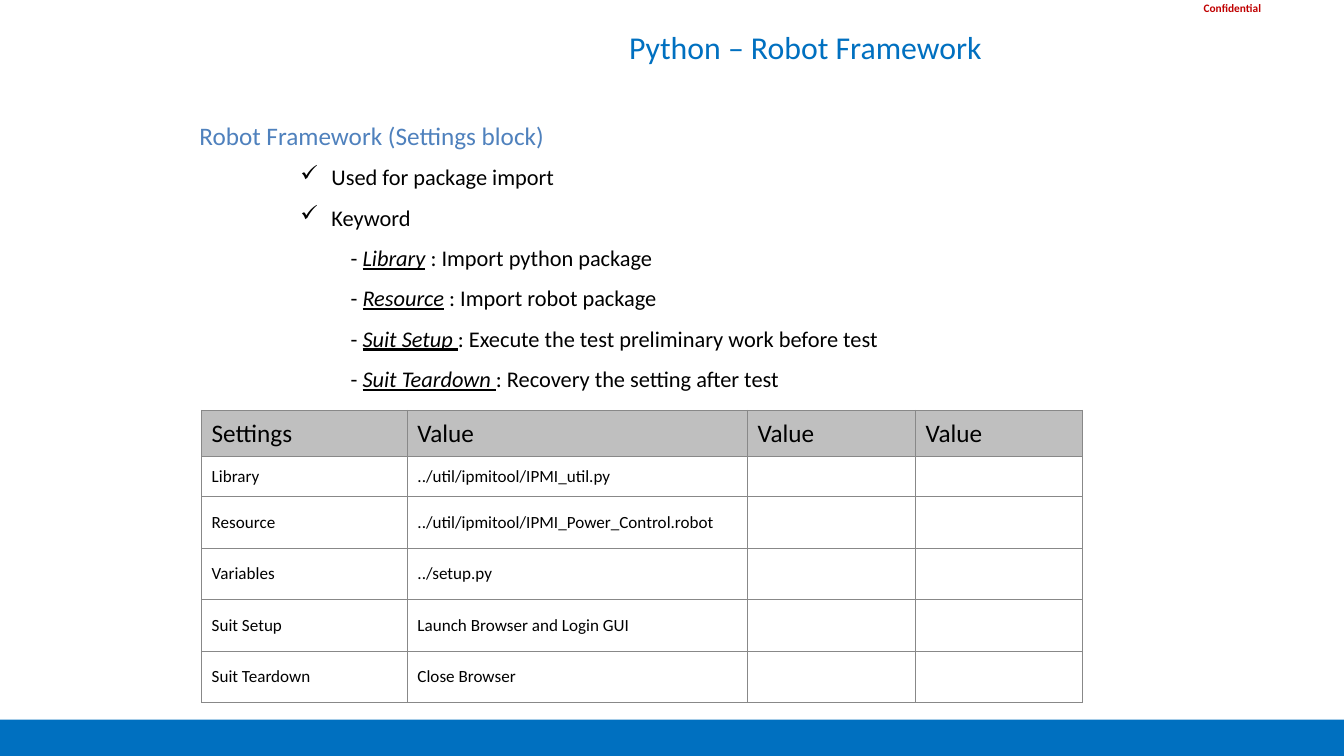
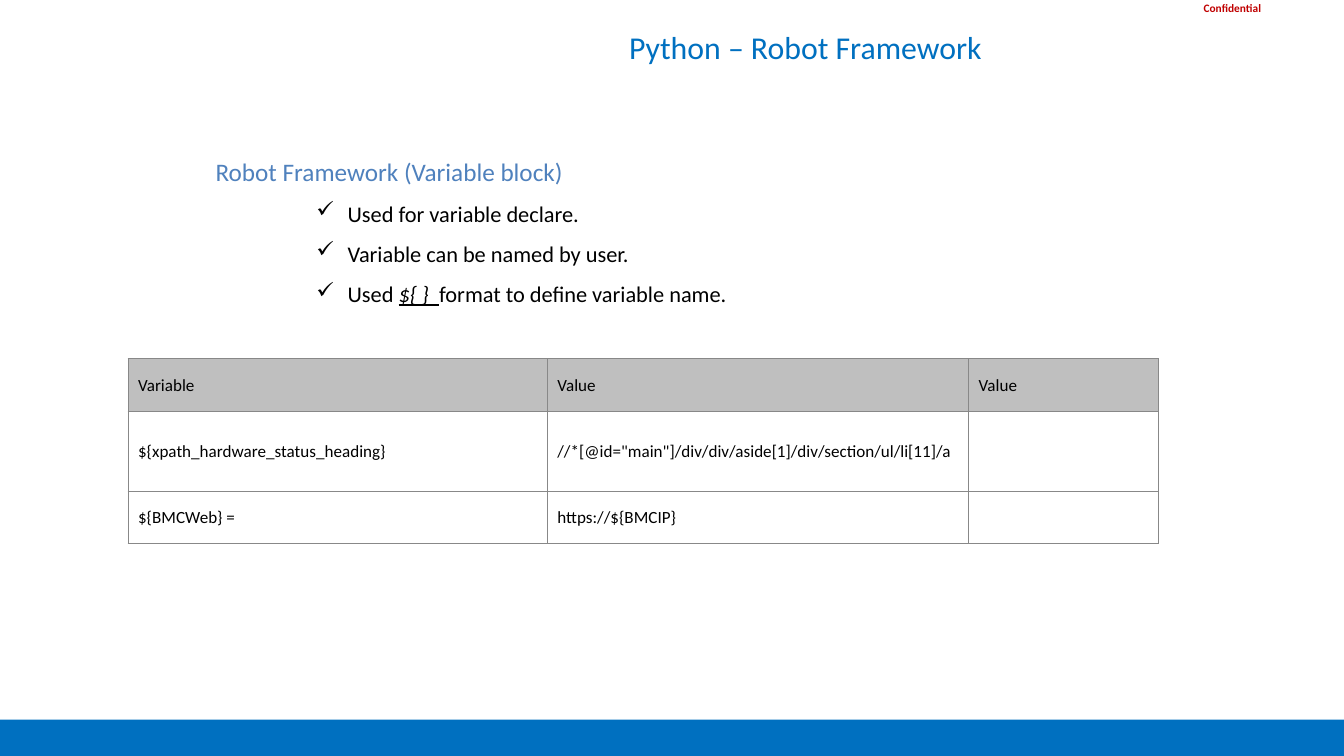
from dataclasses import dataclass
from lxml.etree import SubElement
from pptx import Presentation
from pptx.dml.color import RGBColor
from pptx.enum.shapes import MSO_SHAPE
from pptx.enum.text import MSO_ANCHOR, MSO_AUTO_SIZE, PP_ALIGN
from pptx.oxml.ns import qn
from pptx.slide import Slide
from pptx.text.text import Font, _Paragraph
from pptx.util import Inches, Pt

WIDE, HIGH = Inches(13.33), Inches(7.5)
COLS, ROWS = 160, 90


@dataclass(frozen=True)
class Theme:
    font: str = "Calibri"
    blue: str = "0070C0"
    soft: str = "4F81BD"
    red: str = "C00000"
    black: str = "000000"
    white: str = "FFFFFF"
    head: str = "BFBFBF"
    edge: str = "888888"
    title: float = 22.7
    large: float = 18
    body: float = 16
    cell: float = 12.2
    tag: float = 8.1
    line: float = 0.6


@dataclass(frozen=True)
class Box:
    left: float
    top: float
    width: float
    height: float

    def place(self) -> tuple[int, int, int, int]:
        return across(self.left), down(self.top), across(self.width), down(self.height)


@dataclass(frozen=True)
class Grid:
    left: float
    top: float
    cols: list[float]
    rows: list[float]
    cells: list[list[str]]
    size: float


@dataclass(frozen=True)
class Page:
    box: Box
    head: str
    ticks: list[str]
    notes: list[str]
    grid: Grid


THEME = Theme()
TITLE = "Python – Robot Framework "
TITLE_BOX = Box(54.6, 2.76, 83.4, 5.64)
BAND_BOX = Box(0, 85.68, COLS, 4.32)
TAG_BOX = Box(142.44, -0.24, 16.92, 2.52)
TICK_LEFT, TICK_HANG, NOTE_LEFT = 15.72, 3.72, 18

PAGES = [
    Page(
        Box(22.56, 11.88, 117.84, 36.96),
        "Robot Framework (Settings block)",
        ["Used for package import", "Keyword"],
        [
            "- |Library| : Import python package",
            "- |Resource| : Import robot package",
            "- |Suit Setup |: Execute the test preliminary work before test",
            "- |Suit Teardown |: Recovery the setting after test",
        ],
        Grid(
            24, 48.84, [24.5, 40.5, 20, 19.8], [5.5, 4.8] + [6.13] * 4,
            [
                ["Settings", "Value", "Value", "Value"],
                ["Library", "../util/ipmitool/IPMI_util.py"],
                ["Resource", "../util/ipmitool/IPMI_Power_Control.robot"],
                ["Variables", "../setup.py"],
                ["Suit Setup", "Launch Browser and Login GUI"],
                ["Suit Teardown", "Close Browser"],
            ],
            THEME.large,
        ),
    ),
    Page(
        Box(24.48, 16.2, 117.84, 22),
        "Robot Framework (Variable block)",
        [
            "Used for variable declare.",
            "Variable can be named by user.",
            "Used |${ }  |format to define variable name.",
        ],
        [],
        Grid(
            15.24, 42.72, [49.92, 50.16, 22.56], [6.3, 9.5, 6.13],
            [
                ["Variable", "Value", "Value"],
                ["${xpath_hardware_status_heading}",
                 '//*[@id="main"]/div/div/aside[1]/div/section/ul/li[11]/a'],
                ["${BMCWeb} =", "https://${BMCIP}"],
            ],
            THEME.cell,
        ),
    ),
]


def across(count: float) -> int:
    return round(WIDE * count / COLS)


def down(count: float) -> int:
    return round(HIGH * count / ROWS)


def tint(code: str) -> RGBColor:
    return RGBColor.from_string(code)


def style(font: Font, size: float, color: str, bold: bool = False) -> None:
    font.name = THEME.font
    font.size = Pt(size)
    font.color.rgb = tint(color)
    font.bold = bold


def write(para: _Paragraph, text: str, size: float, color: str) -> None:
    for spot, part in enumerate(text.split("|")):
        run = para.add_run()
        run.text = part
        style(run.font, size, color)
        if spot % 2:
            run.font.italic = run.font.underline = True
    para.line_spacing = 1.5


def indent(para: _Paragraph, level: int, left: float, hang: float = 0) -> None:
    para.level = level
    props = para._p.get_or_add_pPr()
    props.set("marL", str(across(left)))
    props.set("indent", str(-across(hang)))
    if hang:
        SubElement(props, qn("a:buChar")).set("char", "✓")


def draw_frame(slide: Slide) -> None:
    band = slide.shapes.add_shape(MSO_SHAPE.RECTANGLE, *BAND_BOX.place())
    band.shadow.inherit = False
    band.fill.solid()
    band.fill.fore_color.rgb = tint(THEME.blue)
    band.line.fill.background()

    frame = slide.shapes.add_textbox(*TAG_BOX.place()).text_frame
    frame.word_wrap = True
    frame.margin_left = frame.margin_right = Inches(0.07)
    frame.margin_top = frame.margin_bottom = Inches(0.03)
    frame.text = "Confidential"
    style(frame.paragraphs[0].runs[0].font, THEME.tag, THEME.red, True)


def draw_title(slide: Slide) -> None:
    title = slide.shapes.title
    title.left, title.top, title.width, title.height = TITLE_BOX.place()
    frame = title.text_frame
    frame.text = TITLE
    frame.auto_size = MSO_AUTO_SIZE.NONE
    frame.vertical_anchor = MSO_ANCHOR.MIDDLE
    para = frame.paragraphs[0]
    para.alignment = PP_ALIGN.CENTER
    style(para.runs[0].font, THEME.title, THEME.blue)


def draw_body(slide: Slide, page: Page) -> None:
    frame = slide.shapes.add_textbox(*page.box.place()).text_frame
    frame.word_wrap = True
    frame.auto_size = MSO_AUTO_SIZE.SHAPE_TO_FIT_TEXT
    write(frame.paragraphs[0], page.head, THEME.large, THEME.soft)
    for text in page.ticks:
        para = frame.add_paragraph()
        write(para, text, THEME.body, THEME.black)
        indent(para, 2, TICK_LEFT, TICK_HANG)
    for text in page.notes:
        para = frame.add_paragraph()
        write(para, text, THEME.body, THEME.black)
        indent(para, 3, NOTE_LEFT)


def draw_grid(slide: Slide, grid: Grid) -> None:
    box = Box(grid.left, grid.top, sum(grid.cols), sum(grid.rows))
    table = slide.shapes.add_table(
        len(grid.rows), len(grid.cols), *box.place()
    ).table
    table.first_row = table.horz_banding = False
    for col, width in zip(table.columns, grid.cols):
        col.width = across(width)
    for row, height in zip(table.rows, grid.rows):
        row.height = down(height)
    for y, row in enumerate(table.rows):
        for x, cell in enumerate(row.cells):
            cell.vertical_anchor = MSO_ANCHOR.MIDDLE
            props = cell._tc.get_or_add_tcPr()
            for side in ("lnL", "lnR", "lnT", "lnB"):
                line = SubElement(props, qn(f"a:{side}"), w=str(Pt(THEME.line)))
                fill = SubElement(line, qn("a:solidFill"))
                SubElement(fill, qn("a:srgbClr"), val=THEME.edge)
            cell.fill.solid()
            cell.fill.fore_color.rgb = tint(THEME.white if y else THEME.head)
            if x < len(grid.cells[y]):
                cell.text_frame.text = grid.cells[y][x]
                run = cell.text_frame.paragraphs[0].runs[0]
                style(run.font, THEME.cell if y else grid.size, THEME.black)


def main() -> None:
    deck = Presentation()
    deck.slide_width, deck.slide_height = WIDE, HIGH
    for page in PAGES:
        slide = deck.slides.add_slide(deck.slide_layouts.get_by_name("Title Only"))
        draw_frame(slide)
        draw_title(slide)
        draw_body(slide, page)
        draw_grid(slide, page.grid)
    deck.save("out.pptx")


if __name__ == "__main__":
    main()
